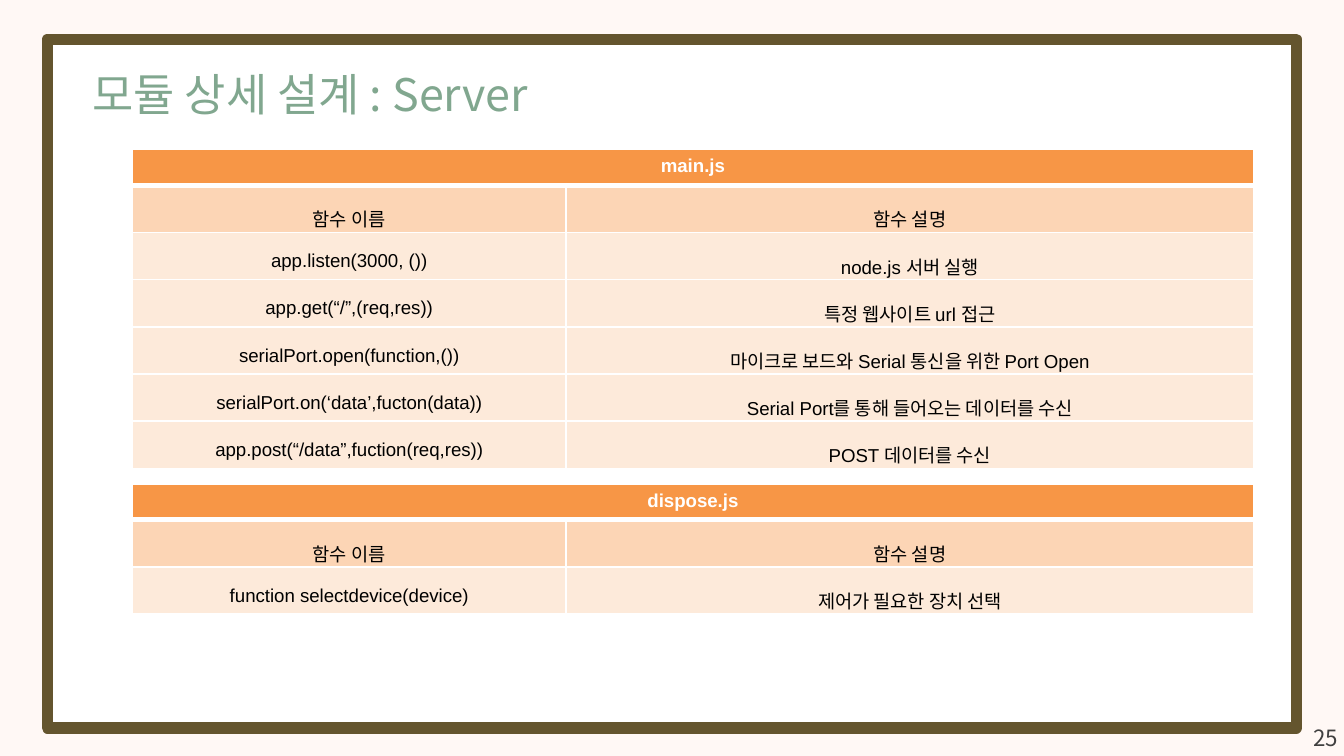
import pptx
import pptx.dml.color
import pptx.enum.shapes
import pptx.enum.text
import pptx.oxml
import pptx.oxml.ns
import pptx.util
from lxml import etree

Pt = pptx.util.Pt
Align = pptx.enum.text.PP_ALIGN
Anchor = pptx.enum.text.MSO_ANCHOR
COLORS = {
    "background": "FFF8F5", "panel": "FFFFFF", "frame": "64552E",
    "title": "81A78F", "number": "404040", "heading": "F79646",
    "columns": "FCD5B5", "body": "FDEADA", "white": "FFFFFF", "black": "000000",
}
KOREAN_FONT = "Noto Sans CJK KR"
COLUMN_WIDTHS = (232.4, 368.4)
HEADING_HEIGHT = 18.9
ROW_HEIGHT = 25.3
COLUMN_TITLES = ("함수 이름", "함수 설명")
MAIN_FUNCTIONS = [
    ("app.listen(3000, ())", "node.js 서버 실행"),
    ("app.get(“/”,(req,res))", "특정 웹사이트 url 접근"),
    ("serialPort.open(function,())", "마이크로 보드와 Serial 통신을 위한 Port Open"),
    ("serialPort.on(‘data’,fucton(data))", "Serial Port를 통해 들어오는 데이터를 수신"),
    ("app.post(“/data”,fuction(req,res))", "POST 데이터를 수신"),
]
DISPOSE_FUNCTIONS = [("function selectdevice(device)", "제어가 필요한 장치 선택")]


def color(name):
    return pptx.dml.color.RGBColor.from_string(COLORS[name])


class SlideBuilder:
    def __init__(self, slide):
        self.slide = slide
        slide.background.fill.solid()
        slide.background.fill.fore_color.rgb = color("background")

    def style(self, paragraph, size, font_name, font_color, bold=False, align=Align.LEFT):
        paragraph.alignment = align
        font = paragraph.font
        font.size = Pt(size)
        font.bold = bold
        font.color.rgb = color(font_color)
        font.name = font_name
        properties = paragraph._p.pPr.find(pptx.oxml.ns.qn("a:defRPr"))
        etree.SubElement(properties, pptx.oxml.ns.qn("a:ea"), typeface=KOREAN_FONT)

    def panel(self, left, top, width, height):
        shape = self.slide.shapes.add_shape(
            pptx.enum.shapes.MSO_SHAPE.RECTANGLE, Pt(left), Pt(top), Pt(width), Pt(height))
        shape.shadow.inherit = False
        shape.fill.solid()
        shape.fill.fore_color.rgb = color("panel")
        shape.line.color.rgb = color("frame")
        shape.line.width = Pt(6)

    def text(self, content, left, top, width, height, size, font_color, align=Align.LEFT):
        shape = self.slide.shapes.add_textbox(Pt(left), Pt(top), Pt(width), Pt(height))
        frame = shape.text_frame
        frame.word_wrap = False
        frame.auto_size = pptx.enum.text.MSO_AUTO_SIZE.SHAPE_TO_FIT_TEXT
        frame.text = content
        self.style(frame.paragraphs[0], size, KOREAN_FONT, font_color, align=align)

    def borders(self, cell, bottom_width):
        properties = cell._tc.get_or_add_tcPr()
        widths = (("lnL", 1), ("lnR", 1), ("lnT", 1), ("lnB", bottom_width))
        for position, (tag, width) in enumerate(widths):
            line = pptx.oxml.parse_xml(
                f'<a:{tag} {pptx.oxml.ns.nsdecls("a")} w="{Pt(width)}"><a:solidFill>'
                f'<a:srgbClr val="{COLORS["white"]}"/></a:solidFill></a:{tag}>')
            properties.insert(position, line)

    def cell(self, cell, content, fill, heading=False, korean=False):
        cell.fill.solid()
        cell.fill.fore_color.rgb = color(fill)
        cell.text = content
        paragraph = cell.text_frame.paragraphs[0]
        if not heading:
            cell.vertical_anchor = Anchor.MIDDLE
            cell.margin_top = Pt(3.5 if korean else 0)
            cell.margin_bottom = 0
            paragraph.line_spacing = 1.5
        self.style(paragraph, 10, "Arial", "white" if heading else "black",
                   heading, Align.CENTER)
        self.borders(cell, 3 if heading else 1)

    def function_table(self, heading, functions, left, top):
        rows = [COLUMN_TITLES, *functions]
        height = HEADING_HEIGHT + ROW_HEIGHT * len(rows)
        table = self.slide.shapes.add_table(
            len(rows) + 1, 2, Pt(left), Pt(top), Pt(sum(COLUMN_WIDTHS)), Pt(height)).table
        table.horz_banding = False
        for column, width in zip(table.columns, COLUMN_WIDTHS):
            column.width = Pt(width)
        for row in table.rows:
            row.height = Pt(ROW_HEIGHT)
        table.rows[0].height = Pt(HEADING_HEIGHT)
        table.cell(0, 0).merge(table.cell(0, 1))
        for column, content in enumerate((heading, "")):
            self.cell(table.cell(0, column), content, "heading", heading=True)
        for row, contents in enumerate(rows, 1):
            for column, content in enumerate(contents):
                self.cell(table.cell(row, column), content,
                          "columns" if row == 1 else "body",
                          korean=row == 1 or column == 1)


def main():
    presentation = pptx.Presentation()
    presentation.slide_width = Pt(720)
    presentation.slide_height = Pt(405)
    builder = SlideBuilder(presentation.slides.add_slide(presentation.slide_layouts[6]))
    builder.panel(25.4, 21, 669, 369)
    builder.text("모듈 상세 설계 : Server", 42.5, 32.4, 283.7, 36, 24, "title")
    builder.text("25", 695.5, 384.5, 29.5, 21.6, 12, "number", Align.CENTER)
    builder.function_table("main.js", MAIN_FUNCTIONS, 70.8, 80)
    builder.function_table("dispose.js", DISPOSE_FUNCTIONS, 70.8, 259.2)
    presentation.save("out.pptx")


if __name__ == "__main__":
    main()
